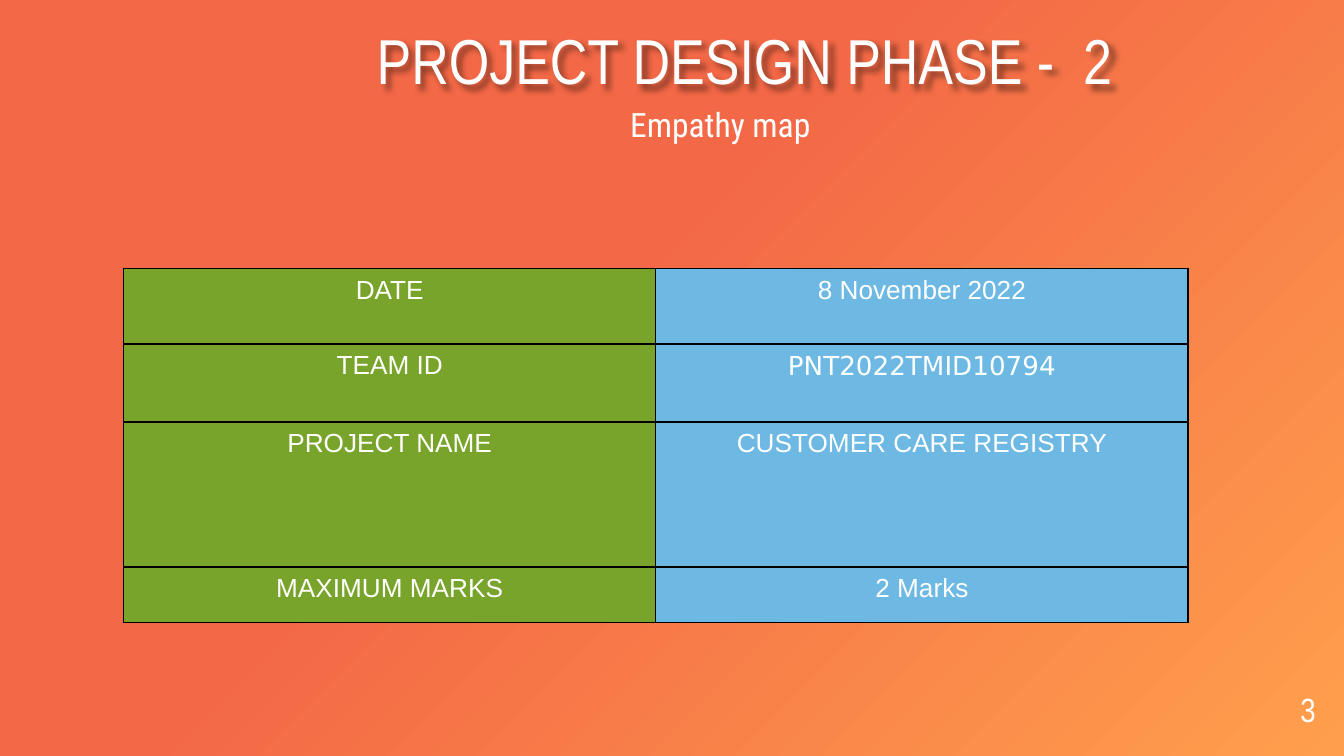
import lxml.etree
import pptx
import pptx.dml.color
import pptx.enum.text
import pptx.oxml
import pptx.util

Inches = pptx.util.Inches
ALIGN = pptx.enum.text.PP_ALIGN
ANCHOR = pptx.enum.text.MSO_ANCHOR
NS = 'xmlns:a="http://schemas.openxmlformats.org/drawingml/2006/main"'
NS_P = 'xmlns:p="http://schemas.openxmlformats.org/presentationml/2006/main"'


def color(value):
    return pptx.dml.color.RGBColor.from_string(value)


def write(frame, text, size, face, align, spacing=None):
    para = frame.paragraphs[0]
    para.text = text
    para.alignment = align
    para.line_spacing = spacing
    para.font.size = pptx.util.Pt(size)
    para.font.name = face
    para.font.color.rgb = color("FFFFFF")
    return para


deck = pptx.Presentation()
deck.slide_width = Inches(10)
deck.slide_height = deck.slide_width * 9 // 16
page = deck.slides.add_slide(deck.slide_layouts[5])

# Background: radial gradient from the bottom right corner
stops = "".join(
    f'<a:gs pos="{percent * 1000}"><a:srgbClr val="{value}"/></a:gs>'
    for percent, value in [(0, "FF9F4D"), (58, "F36846"), (100, "F36846")])
page.element.cSld.insert(0, pptx.oxml.parse_xml(
    f'<p:bg {NS_P} {NS}><p:bgPr><a:gradFill><a:gsLst>{stops}</a:gsLst>'
    '<a:path path="circle"><a:fillToRect l="100000" t="100000"/></a:path>'
    '</a:gradFill><a:effectLst/></p:bgPr></p:bg>'))

# Title, subtitle and page number
title = page.shapes.title
subtitle = page.shapes.add_textbox(0, 0, 0, 0)
number = page.shapes.add_textbox(0, 0, 0, 0)
texts = [
    (title, (1.39, 0.4, 8.3, 0.33), "PROJECT DESIGN PHASE -  2", 34,
     "Arial Narrow", ALIGN.CENTER, 0.9, ANCHOR.BOTTOM),
    (subtitle, (0.85, 0.73, 8.94, 4.75), "Empathy map", 18,
     "Roboto Condensed", ALIGN.CENTER, 1.15, ANCHOR.TOP),
    (number, (9.19, 5.08, 0.6, 0.35), "3", 18,
     "Arial Narrow", ALIGN.RIGHT, 0.9, ANCHOR.BOTTOM),
]
for box, place, text, size, face, align, spacing, anchor in texts:
    box.left, box.top, box.width, box.height = map(Inches, place)
    frame = box.text_frame
    frame.word_wrap = True
    frame.auto_size = pptx.enum.text.MSO_AUTO_SIZE.NONE
    frame.vertical_anchor = anchor
    frame.margin_left = frame.margin_right = 0
    frame.margin_top = frame.margin_bottom = 0
    write(frame, text, size, face, align, spacing)
subtitle.text_frame.paragraphs[0]._p.get_or_add_pPr().set("marL", str(Inches(0.08)))

# Soft shadow behind the title letters
title.fill.background()
title.element.spPr.append(lxml.etree.fromstring(
    f'<a:effectLst {NS}><a:outerShdw blurRad="38100" dist="38100" dir="2700000">'
    '<a:srgbClr val="000000"><a:alpha val="43000"/></a:srgbClr>'
    '</a:outerShdw></a:effectLst>'))

# Project details table
details = [
    (0.56, "DATE", "8 November 2022"),
    (0.58, "TEAM ID", "PNT2022TMID10794"),
    (1.08, "PROJECT NAME", "CUSTOMER CARE REGISTRY"),
    (0.41, "MAXIMUM MARKS", "2 Marks"),
]
fills = ["79A42B", "6DB9E4"]
table = page.shapes.add_table(len(details), 2, Inches(0.92), Inches(2),
                              Inches(7.92), Inches(2.63)).table
for row, (height, *words) in enumerate(details):
    table.rows[row].height = Inches(height)
    for column, text in enumerate(words):
        cell = table.cell(row, column)
        cell.fill.solid()
        cell.fill.fore_color.rgb = color(fills[column])
        face = "DejaVu Sans" if text.startswith("PNT") else "Arial"
        write(cell.text_frame, text, 14, face, ALIGN.CENTER)
        for order, side in enumerate(["lnL", "lnR", "lnT", "lnB"]):
            cell._tc.get_or_add_tcPr().insert(order, lxml.etree.fromstring(
                f'<a:{side} {NS} w="9525"><a:solidFill><a:srgbClr val="000000"/>'
                f'</a:solidFill></a:{side}>'))

deck.save("out.pptx")
